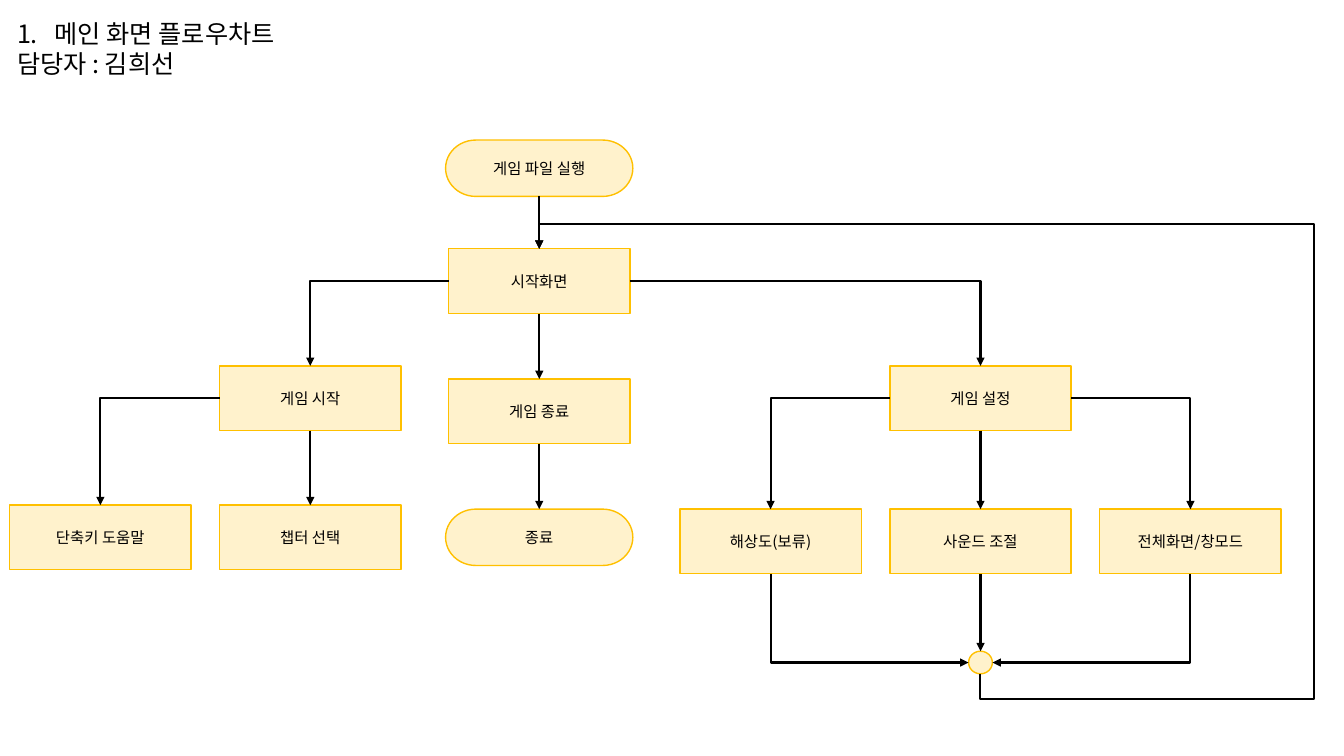
import dataclasses

import lxml.etree
import pptx
import pptx.dml.color
import pptx.enum.shapes
import pptx.enum.text
import pptx.oxml.ns
import pptx.util

Cm = pptx.util.Cm
SHAPES = pptx.enum.shapes.MSO_SHAPE
CONNECTORS = pptx.enum.shapes.MSO_CONNECTOR
TOP, LEFT, BOTTOM, RIGHT = range(4)


@dataclasses.dataclass(frozen=True)
class Theme:
    font: str = "Noto Sans CJK KR"
    ink: str = "000000"
    node_fill: str = "FFF2CC"
    node_line: str = "FFC000"
    title_size: float = 18
    label_size: float = 11
    node_width: float = 1
    flow_width: float = 1.5


def rgb(code):
    return pptx.dml.color.RGBColor.from_string(code)


def apply(target, values):
    for name, value in values.items():
        setattr(target, name, value)


def add_xml(parent, tag, **attributes):
    return lxml.etree.SubElement(parent, pptx.oxml.ns.qn(tag), attributes)


class FlowchartSlide:
    """Draws flowchart parts on one slide; all lengths are centimetres."""

    def __init__(self, slide, theme):
        self.shapes = slide.shapes
        self.theme = theme

    def add_text(self, paragraph, text, size):
        run = paragraph.add_run()
        run.text = text
        apply(run.font, {"name": self.theme.font, "size": pptx.util.Pt(size)})
        run.font.color.rgb = rgb(self.theme.ink)
        add_xml(run.font._element, "a:ea", typeface=self.theme.font)

    def title(self, left, top, width, height, numbered_line, plain_line):
        box = self.shapes.add_textbox(Cm(left), Cm(top), Cm(width), Cm(height))
        frame = box.text_frame
        apply(frame, {
            "word_wrap": True,
            "auto_size": pptx.enum.text.MSO_AUTO_SIZE.SHAPE_TO_FIT_TEXT,
        })
        numbered = frame.paragraphs[0]
        properties = numbered._element.get_or_add_pPr()
        indent = Cm(0.95)
        properties.set("marL", str(indent))
        properties.set("indent", str(-indent))
        add_xml(properties, "a:buAutoNum", type="arabicPeriod")
        self.add_text(numbered, numbered_line, self.theme.title_size)
        self.add_text(frame.add_paragraph(), plain_line, self.theme.title_size)

    def node(self, kind, center, top, width, height, label=""):
        shape = self.shapes.add_shape(
            kind, Cm(center - width / 2), Cm(top), Cm(width), Cm(height))
        shape.shadow.inherit = False
        shape.fill.solid()
        shape.fill.fore_color.rgb = rgb(self.theme.node_fill)
        shape.line.color.rgb = rgb(self.theme.node_line)
        shape.line.width = pptx.util.Pt(self.theme.node_width)
        if label:
            frame = shape.text_frame
            apply(frame, {
                "word_wrap": True,
                "vertical_anchor": pptx.enum.text.MSO_ANCHOR.MIDDLE,
                "margin_left": 0, "margin_right": 0,
                "margin_top": 0, "margin_bottom": 0,
            })
            paragraph = frame.paragraphs[0]
            paragraph.alignment = pptx.enum.text.PP_ALIGN.CENTER
            self.add_text(paragraph, label, self.theme.label_size)
        return shape

    def process(self, center, top, label):
        return self.node(SHAPES.RECTANGLE, center, top, 4.57, 1.63, label)

    def terminator(self, center, top, label):
        return self.node(SHAPES.FLOWCHART_TERMINATOR, center, top, 4.72, 1.42, label)

    def junction(self, center, top):
        return self.node(SHAPES.FLOWCHART_CONNECTOR, center, top, 0.6, 0.57)

    def arrow(self, source, source_side, target, target_side, kind=CONNECTORS.STRAIGHT):
        connector = self.shapes.add_connector(kind, 0, 0, 0, 0)
        connector.begin_connect(source, source_side)
        connector.end_connect(target, target_side)
        # A junction circle has eight connection sites, so its sides are every second one
        for shape, tag in ((source, "a:stCxn"), (target, "a:endCxn")):
            if shape.auto_shape_type == SHAPES.FLOWCHART_CONNECTOR:
                site = connector._element.find(".//" + pptx.oxml.ns.qn(tag))
                site.set("idx", str(2 * int(site.get("idx"))))
        connector.line.color.rgb = rgb(self.theme.ink)
        connector.line.width = pptx.util.Pt(self.theme.flow_width)
        add_xml(connector.line._get_or_add_ln(), "a:tailEnd", type="triangle")
        add_xml(connector._element.spPr, "a:effectLst")
        return connector

    def bent_arrow(self, source, source_side, target, target_side,
                   preset="bentConnector2", adjustments=()):
        connector = self.arrow(source, source_side, target, target_side, CONNECTORS.ELBOW)
        properties = connector._element.spPr
        geometry = properties.find(pptx.oxml.ns.qn("a:prstGeom"))
        geometry.set("prst", preset)
        guides = geometry.find(pptx.oxml.ns.qn("a:avLst"))
        for number, share in enumerate(adjustments, 1):
            add_xml(guides, "a:gd", name=f"adj{number}", fmla=f"val {round(share * 100000)}")
        if source_side in (TOP, BOTTOM):
            self.turn_upright(connector, properties.find(pptx.oxml.ns.qn("a:xfrm")))

    def turn_upright(self, connector, transform):
        """Rotate an elbow so that its first segment is vertical."""
        across = connector.end_x - connector.begin_x
        down = connector.end_y - connector.begin_y
        middle_x = (connector.begin_x + connector.end_x) // 2
        middle_y = (connector.begin_y + connector.end_y) // 2
        apply(connector, {
            "left": middle_x - abs(down) // 2, "top": middle_y - abs(across) // 2,
            "width": abs(down), "height": abs(across),
        })
        transform.set("rot", str((270 if across > 0 else 90) * 60000))
        transform.set("flipH", str(int((across > 0) == (down > 0))))
        transform.set("flipV", "0")


def main():
    presentation = pptx.Presentation()
    apply(presentation, {"slide_width": Cm(33.87), "slide_height": Cm(19.05)})
    slide = presentation.slides.add_slide(presentation.slide_layouts[6])
    chart = FlowchartSlide(slide, Theme())

    # Heading
    chart.title(0.18, 0.33, 8.28, 1.8, "메인 화면 플로우차트", "담당자 : 김희선")

    # Column centres and rows
    play_x, main_x, settings_x = 7.82, 13.59, 24.71
    column_gap = 5.29
    menu_top, play_options_top, settings_options_top = 9.22, 12.73, 12.83

    # Main column
    launch = chart.terminator(main_x, 3.53, "게임 파일 실행")
    start_screen = chart.process(main_x, 6.27, "시작화면")
    quit_game = chart.process(main_x, 9.55, "게임 종료")
    end = chart.terminator(main_x, settings_options_top, "종료")

    # Game start branch
    play = chart.process(play_x, menu_top, "게임 시작")
    shortcuts = chart.process(play_x - column_gap, play_options_top, "단축키 도움말")
    chapters = chart.process(play_x, play_options_top, "챕터 선택")

    # Settings branch
    settings = chart.process(settings_x, menu_top, "게임 설정")
    resolution, sound, window_mode = (
        chart.process(settings_x + step * column_gap, settings_options_top, label)
        for step, label in ((-1, "해상도(보류)"), (0, "사운드 조절"), (1, "전체화면/창모드")))
    junction = chart.junction(settings_x, 16.41)

    # Straight flows
    for source, target in ((launch, start_screen), (start_screen, quit_game),
                           (quit_game, end), (play, chapters),
                           (settings, sound), (sound, junction)):
        chart.arrow(source, BOTTOM, target, TOP)

    # Branching flows
    for source, side, target in ((start_screen, LEFT, play), (start_screen, RIGHT, settings),
                                 (play, LEFT, shortcuts), (settings, LEFT, resolution),
                                 (settings, RIGHT, window_mode)):
        chart.bent_arrow(source, side, target, TOP)

    # Settings merge and return to the start screen
    chart.bent_arrow(resolution, BOTTOM, junction, LEFT)
    chart.bent_arrow(window_mode, BOTTOM, junction, RIGHT)
    chart.bent_arrow(junction, BOTTOM, start_screen, TOP,
                     "bentConnector5", (-0.059, -0.757, 1.059))

    presentation.save("out.pptx")


if __name__ == "__main__":
    main()
